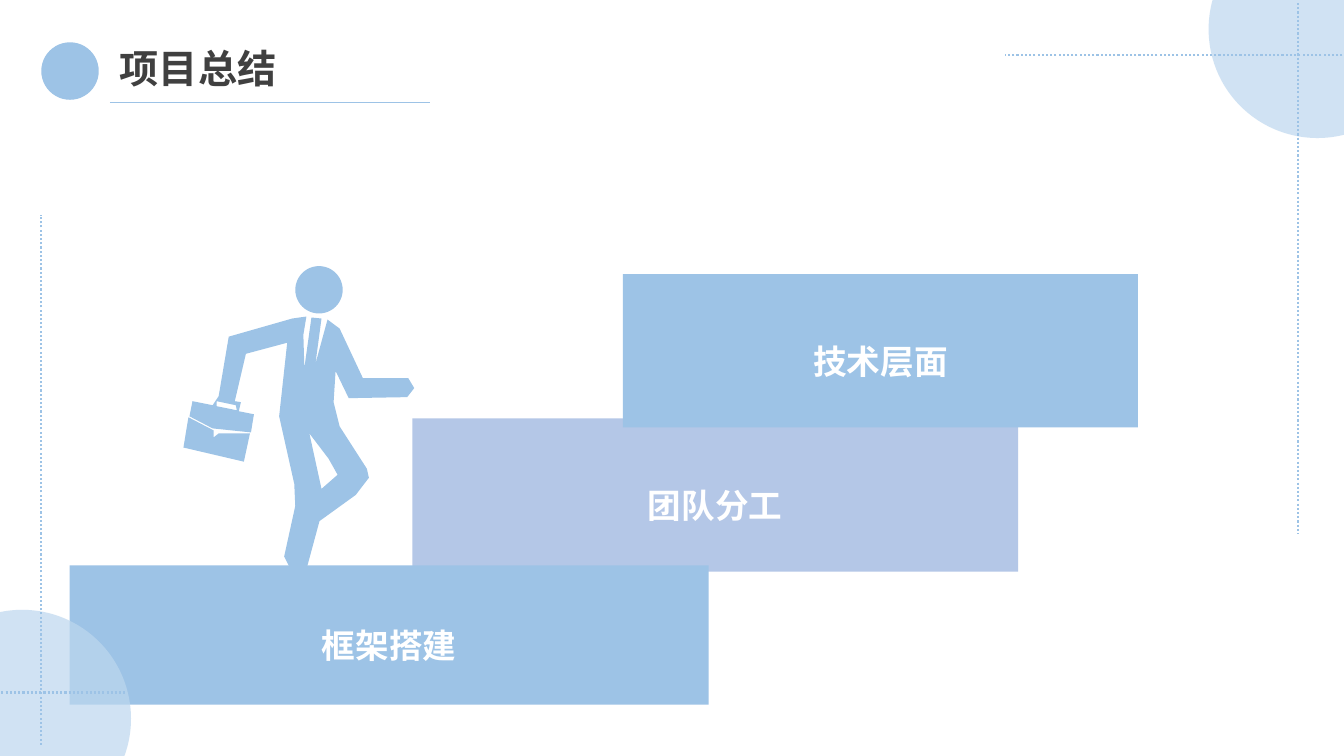
from lxml.etree import SubElement
from pptx import Presentation
from pptx.dml.color import RGBColor
from pptx.enum.dml import MSO_LINE
from pptx.enum.shapes import MSO_CONNECTOR, MSO_SHAPE
from pptx.enum.text import MSO_ANCHOR, MSO_AUTO_SIZE, PP_ALIGN
from pptx.oxml.ns import qn
from pptx.util import Inches, Pt

# The slide is a grid of square cells, ten to the inch
COLUMNS, ROWS = 133.33, 75
FONT = "Noto Sans CJK SC"
COLORS = {"sky": "9DC3E6", "lavender": "B4C7E7", "pale": "BDD7EE",
          "ink": "404040", "white": "FFFFFF"}

STAIRS_BACK = [("团队分工", "lavender", (40.9, 41.5, 60.1, 15.2))]
STAIRS_FRONT = [("框架搭建", "sky", (6.9, 56.1, 63.4, 13.8)),
                ("技术层面", "sky", (61.8, 27.2, 51.1, 15.2))]

# Climber outlines, in a frame of 1/100 inch
FRAME = (182, 264, 230, 303)
HEAD = (293, 264, 47)
BODY = [
    # Collar and tie
    (290, 316), (304, 314), (301, 332), (302, 365), (309, 315), (319, 316),
    (313, 361), (325, 317), (337, 326),
    # Front arm
    (360, 375), (405, 375), (411, 385), (404, 394), (346, 395), (333, 368),
    # Legs
    (331, 399), (337, 423), (364, 465), (366, 474), (353, 491), (317, 517),
    (304, 565), (288, 564), (282, 552), (293, 502), (292, 480), (277, 413),
    # Back arm and top of the briefcase
    (285, 340), (244, 351), (233, 398), (239, 399), (237, 408), (252, 411),
    (249, 429), (211, 425), (188, 413), (191, 398), (211, 402), (217, 393),
    (227, 334)]
HANDLE_GAP = [(215, 403), (235, 407), (234, 402), (215, 398)]
LEG_GAP = [(307, 430), (319, 485), (335, 471), (326, 455)]
BRIEFCASE = [(187, 414), (212, 427), (212, 434), (217, 430), (248, 430),
             (242, 458), (182, 444)]


def cells(*lengths):
    return [Inches(length / 10) for length in lengths]


def rgb(color):
    return RGBColor.from_string(COLORS[color])


def paint(shape, color, opacity=None):
    shape.shadow.inherit = False
    shape.fill.solid()
    shape.fill.fore_color.rgb = rgb(color)
    shape.line.fill.background()
    if opacity:
        tint = shape.fill._xPr.find(".//" + qn("a:srgbClr"))
        SubElement(tint, qn("a:alpha")).set("val", str(opacity * 1000))
    return shape


def add_block(slide, kind, box, color, opacity=None):
    return paint(slide.shapes.add_shape(kind, *cells(*box)), color, opacity)


def add_rule(slide, start, end, width, dash=None):
    rule = slide.shapes.add_connector(MSO_CONNECTOR.STRAIGHT, *cells(*start, *end))
    rule.line.color.rgb = rgb("sky")
    rule.line.width = Pt(width)
    if dash:
        rule.line.dash_style = dash
    SubElement(rule._element.spPr, qn("a:effectLst"))


def write(frame, wording, color, size, layout, spacing=None):
    for name, value in layout.items():
        setattr(frame, name, value)
    line = frame.paragraphs[0]
    line.alignment = PP_ALIGN.CENTER if spacing else PP_ALIGN.JUSTIFY
    line.line_spacing = spacing
    run = line.add_run()
    run.text = wording
    for name, value in {"name": FONT, "size": Pt(size), "bold": True}.items():
        setattr(run.font, name, value)
    run.font.color.rgb = rgb(color)
    SubElement(run._r.get_or_add_rPr(), qn("a:ea")).set("typeface", FONT)


def add_climber(slide, box):
    left, top, width, height = box
    across, down = width / FRAME[2], height / FRAME[3]

    def place(x, y):
        return left + (x - FRAME[0]) * across, top + (y - FRAME[1]) * down

    # Body with its gaps, then the lower half of the briefcase
    for outer, *gaps in ([BODY, HANDLE_GAP, LEG_GAP], [BRIEFCASE]):
        builder = slide.shapes.build_freeform(*cells(*place(*outer[0])))
        for outline in (outer, *gaps):
            first, *rest = [cells(*place(x, y)) for x, y in outline]
            if outline is not outer:
                builder.move_to(*first)
            builder.add_line_segments(rest, close=True)
        paint(builder.convert_to_shape(), "sky")
    # Head
    x, y, size = HEAD
    add_block(slide, MSO_SHAPE.OVAL, (*place(x, y), size * across, size * down), "sky")


def add_stair(slide, wording, color, box):
    stair = add_block(slide, MSO_SHAPE.RECTANGLE, box, color)
    layout = {"word_wrap": True, "vertical_anchor": MSO_ANCHOR.MIDDLE}
    write(stair.text_frame, wording, "white", 24, layout, spacing=1.5)


def add_corner(slide, x, y, turn):
    """Circle centred on x, y with two dotted rules; turn is -1 when rotated by half."""
    radius = 10.8
    add_block(slide, MSO_SHAPE.OVAL, (x - radius, y - radius, 2 * radius, 2 * radius),
              "pale", opacity=70)
    for rule in (((2.9, 2.6), (-31, 2.6)), ((-1.9, -2.6), (-1.9, 50))):
        ends = [(x + turn * dx, y + turn * dy) for dx, dy in rule]
        add_rule(slide, *ends, 1.5, MSO_LINE.ROUND_DOT)


def add_header(slide, wording, box):
    left, top, width, height = box
    dot, indent = 5.7, 6.8
    add_block(slide, MSO_SHAPE.OVAL, (left, top + 0.3, dot, dot), "sky")
    add_rule(slide, (left + indent, top + height), (left + width, top + height), 0.5)
    title = slide.shapes.add_textbox(*cells(left + indent, top, width - indent, dot))
    layout = {"word_wrap": True, "auto_size": MSO_AUTO_SIZE.SHAPE_TO_FIT_TEXT}
    write(title.text_frame, wording, "ink", 28, layout)


def main():
    deck = Presentation()
    deck.slide_width, deck.slide_height = cells(COLUMNS, ROWS)
    slide = deck.slides.add_slide(deck.slide_layouts[6])
    # Stairs, with the climber standing behind the front ones
    for stair in STAIRS_BACK:
        add_stair(slide, *stair)
    add_climber(slide, (18.2, 26.4, 23, 30.3))
    for stair in STAIRS_FRONT:
        add_stair(slide, *stair)
    # Opposite corners
    add_corner(slide, 130.7, 2.9, 1)
    add_corner(slide, 2.2, 71.3, -1)
    add_header(slide, "项目总结", (4.1, 3.9, 38.6, 6.3))
    deck.save("out.pptx")


if __name__ == "__main__":
    main()
